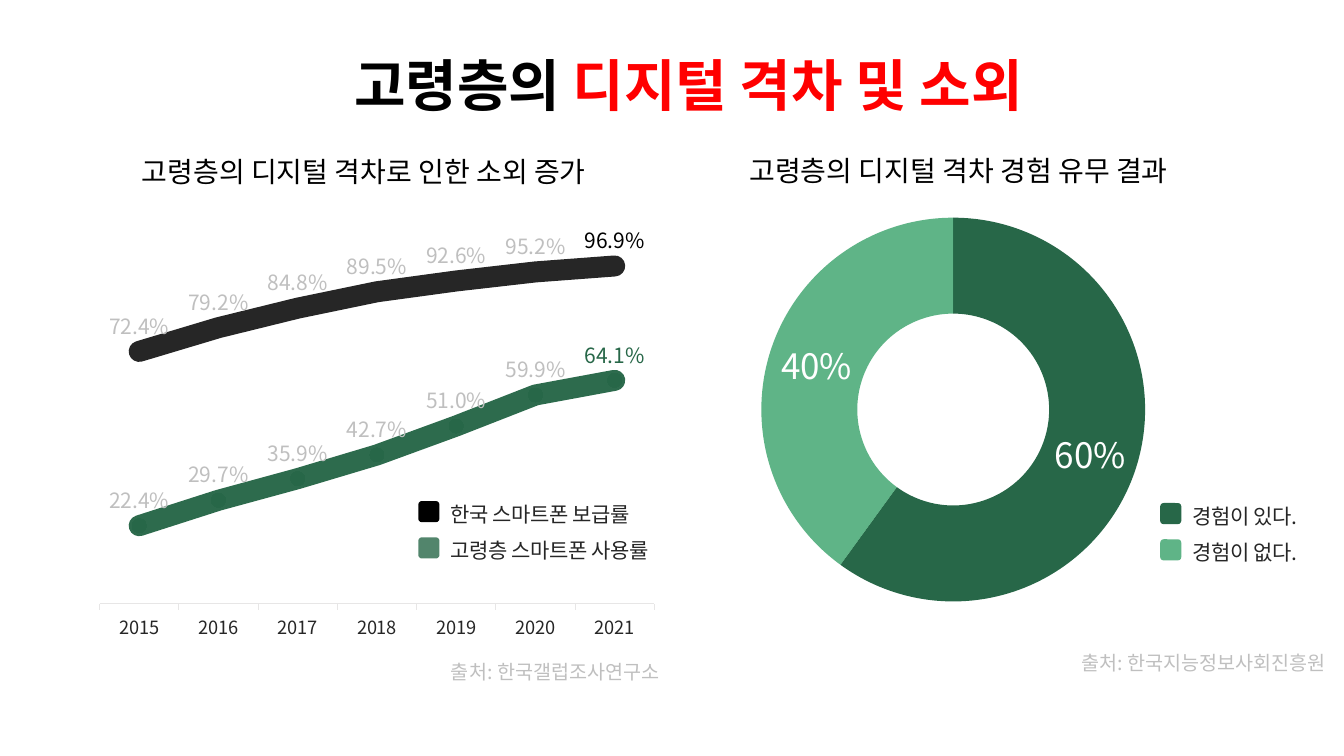
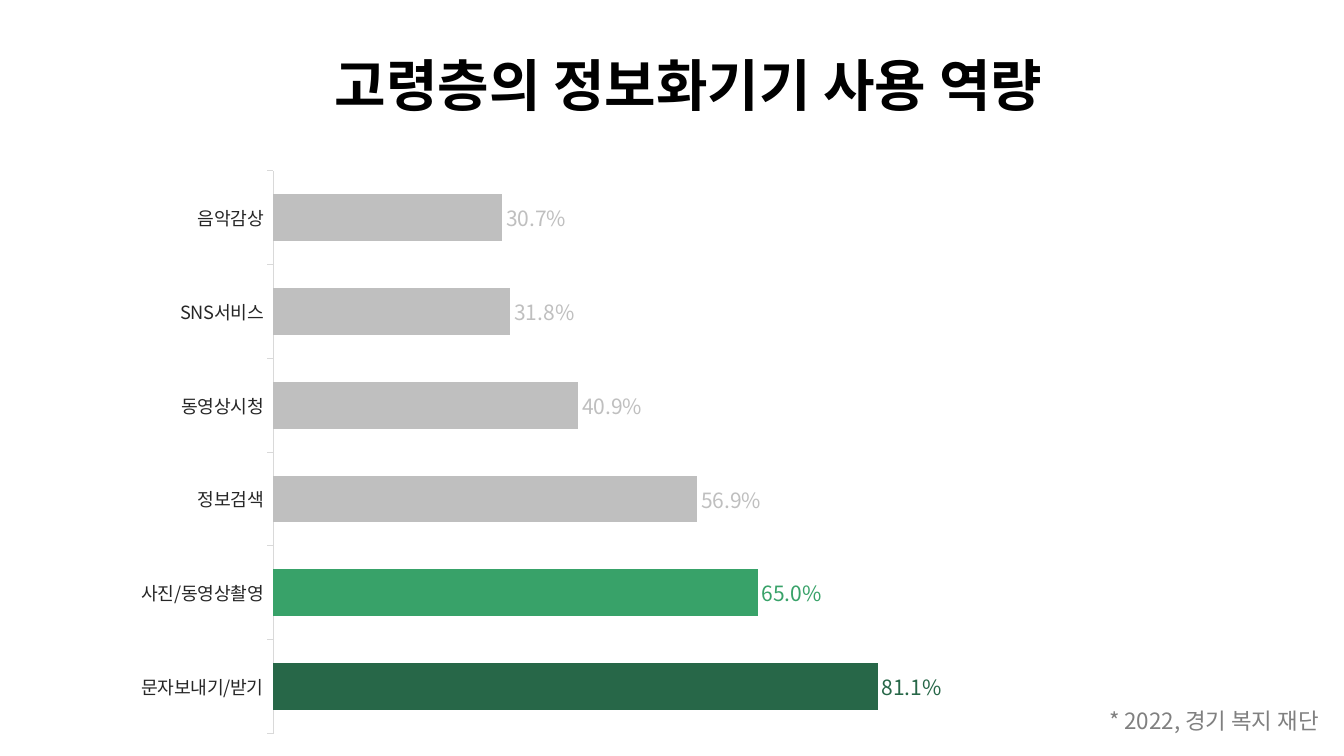
"""Build two slides on the digital gap among older people."""
from dataclasses import dataclass, field
from typing import Any

import pptx
import pptx.chart.data
import pptx.dml.color
import pptx.enum.chart
import pptx.enum.shapes
import pptx.enum.text
import pptx.oxml
import pptx.oxml.ns
import pptx.util

Pt = pptx.util.Pt
Align = pptx.enum.text.PP_ALIGN
ChartKind = pptx.enum.chart.XL_CHART_TYPE
LabelPlace = pptx.enum.chart.XL_LABEL_POSITION
qn = pptx.oxml.ns.qn


@dataclass(frozen=True)
class Theme:
    font: str = "Noto Sans CJK KR"
    black: str = "000000"
    ink: str = "262626"
    red: str = "FF0000"
    dark_green: str = "276748"
    green: str = "38A269"
    silver: str = "BFBFBF"
    grey: str = "808080"
    white: str = "FFFFFF"
    line_axis: str = "E7E6E6"
    bar_axis: str = "D9D9D9"
    title: float = 40
    heading: float = 20
    note: float = 16
    legend: float = 15
    source: float = 14
    axis: float = 13
    label: float = 15
    ring_label: float = 25
    chart: float = 10


THEME = Theme()


@dataclass(frozen=True)
class Frame:
    left: float
    top: float
    width: float
    height: float

    def lengths(self) -> list[Any]:
        return [Pt(value) for value in (self.left, self.top, self.width, self.height)]


@dataclass(frozen=True)
class Series:
    name: str
    values: tuple[float, ...]
    color: str
    label_colors: dict[int, str] = field(default_factory=dict)


@dataclass(frozen=True)
class LegendEntry:
    text: str
    color: str
    opacity: int = 100


TITLE_FRAME = Frame(168.5, 38.2, 646.6, 70.6)


def rgb(color: str) -> Any:
    return pptx.dml.color.RGBColor.from_string(color)


def paint(fill: Any, color: str) -> None:
    fill.solid()
    fill.fore_color.rgb = rgb(color)


def fade(root: Any, query: str, opacity: int) -> None:
    for color in root.xpath(query):
        alpha = pptx.oxml.parse_xml(f'<a:alpha {pptx.oxml.ns.nsdecls("a")} val="{opacity * 1000}"/>')
        color.append(alpha)


def style_font(font: Any, *, size: float, color: str, bold: bool = False) -> None:
    font.name = THEME.font
    font.size = Pt(size)
    font.bold = bold
    font.color.rgb = rgb(color)


def set_east_asian_font(root: Any) -> None:
    for latin in list(root.iter(qn("a:latin"))):
        latin.addnext(pptx.oxml.parse_xml(f'<a:ea {pptx.oxml.ns.nsdecls("a")} typeface="{THEME.font}"/>'))


def add_text(shapes: Any, frame: Frame, text: str, *, size: float, color: str = THEME.black,
             bold: bool = False, align: Any = Align.CENTER, line_spacing: float = 0.9,
             wrap: bool = True, middle: bool = False, tracking: float = 0,
             accent: str = "", accent_color: str = THEME.red) -> None:
    box = shapes.add_textbox(*frame.lengths())
    box.text_frame.word_wrap = wrap
    anchor = pptx.enum.text.MSO_ANCHOR
    box.text_frame.vertical_anchor = anchor.MIDDLE if middle else anchor.TOP
    para = box.text_frame.paragraphs[0]
    para.alignment = align
    para.line_spacing = line_spacing
    for content, span_color in ((text, color), (accent, accent_color)):
        if content:
            span = para.add_run()
            span.text = content
            style_font(span.font, size=size, color=span_color, bold=bold)
            if tracking:
                span.font._element.set("spc", str(round(tracking * 100)))


def add_title(page: Any, text: str, *, accent: str = "") -> None:
    add_text(page.shapes, TITLE_FRAME, text, size=THEME.title, bold=True, accent=accent)


def add_legend(page: Any, left: float, top: float, width: float, entries: list[LegendEntry]) -> None:
    group = page.shapes.add_group_shape()
    for row, entry in enumerate(entries):
        row_top = top + row * 25.9
        add_text(group.shapes, Frame(left + 16.2, row_top, width, 19.4), entry.text,
                 size=THEME.legend, color=THEME.ink, align=Align.LEFT, line_spacing=1.2,
                 wrap=False, middle=True, tracking=-0.3)
        swatch = group.shapes.add_shape(pptx.enum.shapes.MSO_SHAPE.ROUNDED_RECTANGLE,
                                        *Frame(left, row_top + 2.2, 15.1, 15.1).lengths())
        swatch.shadow.inherit = False
        swatch.line.fill.background()
        paint(swatch.fill, entry.color)
        if entry.opacity < 100:
            fade(swatch.element, "./p:spPr/a:solidFill/a:srgbClr", entry.opacity)


def set_plot_layout(chart: Any, x: float, y: float, w: float, h: float) -> None:
    area = chart.element.find(".//" + qn("c:plotArea"))
    for layout in area.findall(qn("c:layout")):
        area.remove(layout)
    sizes = "".join(f'<c:{key} val="{value}"/>' for key, value in (("x", x), ("y", y), ("w", w), ("h", h)))
    area.insert(0, pptx.oxml.parse_xml(
        f'<c:layout {pptx.oxml.ns.nsdecls("c")}><c:manualLayout><c:layoutTarget val="inner"/>'
        f'<c:xMode val="edge"/><c:yMode val="edge"/>{sizes}</c:manualLayout></c:layout>'))


def add_chart(page: Any, kind: Any, frame: Frame, categories: list[str], series: list[Series], *,
              number_format: str, label_size: float, label_color: str, label_place: Any = None) -> Any:
    data = pptx.chart.data.CategoryChartData(number_format=number_format)
    data.categories = categories
    for entry in series:
        data.add_series(entry.name, entry.values)
    chart = page.shapes.add_chart(kind, *frame.lengths(), data).chart
    chart.has_legend = False
    chart.has_title = False
    style_font(chart.font, size=THEME.chart, color=THEME.black)
    chart.plots[0].vary_by_categories = False
    for drawn, entry in zip(chart.plots[0].series, series):
        labels = drawn.data_labels
        labels.show_value = True
        labels.number_format = number_format
        labels.number_format_is_linked = False
        style_font(labels.font, size=label_size, color=label_color)
        if label_place is not None:
            labels.position = label_place
        for index, color in entry.label_colors.items():
            label = drawn.points[index].data_label
            style_font(label.font, size=label_size, color=color)
            label.position = label_place
    return chart


def style_axes(chart: Any, *, maximum: float, line_color: str) -> None:
    values = chart.value_axis
    values.minimum_scale = 0
    values.maximum_scale = maximum
    values.has_major_gridlines = False
    values.visible = False
    axis = chart.category_axis
    axis.has_major_gridlines = False
    axis.major_tick_mark = pptx.enum.chart.XL_TICK_MARK.OUTSIDE
    axis.format.line.width = Pt(0.75)
    axis.format.line.color.rgb = rgb(line_color)
    style_font(axis.tick_labels.font, size=THEME.axis, color=THEME.ink)


def add_usage_lines(page: Any) -> None:
    series = [
        Series("Series 1", (0.724, 0.792, 0.848, 0.895, 0.926, 0.952, 0.969), THEME.ink, {6: THEME.black}),
        Series("Series 2", (0.224, 0.297, 0.359, 0.427, 0.51, 0.599, 0.641),
               THEME.dark_green, {6: THEME.dark_green}),
    ]
    chart = add_chart(page, ChartKind.LINE_MARKERS, Frame(53.3, 132.5, 424.8, 342),
                      [str(year) for year in range(2015, 2022)], series, number_format="0.0%",
                      label_size=THEME.label, label_color=THEME.silver, label_place=LabelPlace.ABOVE)
    style_axes(chart, maximum=1.2, line_color=THEME.line_axis)
    set_plot_layout(chart, 0.042, 0, 0.933, 0.874)
    for drawn, entry in zip(chart.plots[0].series, series):
        drawn.smooth = False
        drawn.format.line.width = Pt(15)
        drawn.format.line.color.rgb = rgb(entry.color)
        drawn.marker.style = pptx.enum.chart.XL_MARKER_STYLE.CIRCLE
        drawn.marker.size = 10
        paint(drawn.marker.format.fill, entry.color)
        drawn.marker.format.line.fill.background()
    for line in chart.element.xpath(".//c:ser/c:spPr/a:ln"):
        line.set("cap", "rnd")
    fade(chart.element, ".//c:ser[2]/c:spPr/a:ln//a:srgbClr", 97)
    set_east_asian_font(chart.element)


def add_experience_ring(page: Any) -> None:
    chart = add_chart(page, ChartKind.DOUGHNUT, Frame(518.4, 141.8, 321.8, 299.5), ["1", "2"],
                      [Series("Series 1", (0.6, 0.4), THEME.dark_green)], number_format="0%",
                      label_size=THEME.ring_label, label_color=THEME.white)
    set_plot_layout(chart, 0.079, 0.007, 0.852, 0.993)
    chart.plots[0].vary_by_categories = True
    for index, color in enumerate((THEME.dark_green, THEME.green)):
        point = chart.plots[0].series[0].points[index]
        paint(point.format.fill, color)
        point.format.line.fill.background()
    fade(chart.element, ".//c:dPt[c:idx/@val='1']/c:spPr/a:solidFill/a:srgbClr", 80)
    for hole in chart.element.iter(qn("c:holeSize")):
        hole.set("val", "50")
    set_east_asian_font(chart.element)


def add_skill_bars(page: Any) -> None:
    highlights = {0: THEME.dark_green, 1: THEME.green}
    series = Series("Series 1", (0.811, 0.65, 0.569, 0.409, 0.318, 0.307), THEME.silver, highlights)
    categories = ["문자보내기/받기", "사진/동영상촬영", "정보검색", "동영상시청", "SNS서비스", "음악감상"]
    chart = add_chart(page, ChartKind.BAR_CLUSTERED, Frame(83.5, 114.5, 604.1, 418.3), categories, [series],
                      number_format="0.0%", label_size=THEME.label, label_color=THEME.silver,
                      label_place=LabelPlace.OUTSIDE_END)
    style_axes(chart, maximum=0.9, line_color=THEME.bar_axis)
    set_plot_layout(chart, 0.185, 0.018, 0.793, 0.961)
    chart.plots[0].gap_width = 100
    bars = chart.plots[0].series[0]
    paint(bars.format.fill, series.color)
    for index, color in highlights.items():
        paint(bars.points[index].format.fill, color)
    set_east_asian_font(chart.element)


def build_gap_page(page: Any) -> None:
    add_title(page, "고령층의 ", accent="디지털 격차 및 소외")
    add_usage_lines(page)
    add_experience_ring(page)
    for left, top, text in ((12.2, 109.4, "고령층의 디지털 격차로 인한 소외 증가"),
                            (437, 108.7, "고령층의 디지털 격차 경험 유무 결과")):
        add_text(page.shapes, Frame(left, top, 495.4, 70.6), text, size=THEME.heading)
    add_legend(page, 298.8, 355.7, 160, [LegendEntry("한국 스마트폰 보급률", THEME.black),
                                         LegendEntry("고령층 스마트폰 사용률", THEME.dark_green, 80)])
    add_legend(page, 828.7, 357.1, 100, [LegendEntry("경험이 있다.", THEME.dark_green),
                                         LegendEntry("경험이 없다.", THEME.green, 80)])
    for left, top, text in ((235.8, 469.4, "출처: 한국갤럽조사연구소"),
                            (698.8, 463, "출처: 한국지능정보사회진흥원")):
        add_text(page.shapes, Frame(left, top, 321.8, 70.6), text, size=THEME.source, color=THEME.silver)


def build_skill_page(page: Any) -> None:
    add_skill_bars(page)
    add_title(page, "고령층의 정보화기기 사용 역량")
    add_text(page.shapes, Frame(302.4, 504, 646.6, 36), "* 2022, 경기 복지 재단",
             size=THEME.note, color=THEME.grey, align=Align.RIGHT)


def main() -> None:
    deck = pptx.Presentation()
    deck.slide_width, deck.slide_height = Pt(960), Pt(540)
    for build in (build_gap_page, build_skill_page):
        page = deck.slides.add_slide(deck.slide_layouts[6])
        build(page)
        set_east_asian_font(page.element)
    deck.save("out.pptx")


if __name__ == "__main__":
    main()
